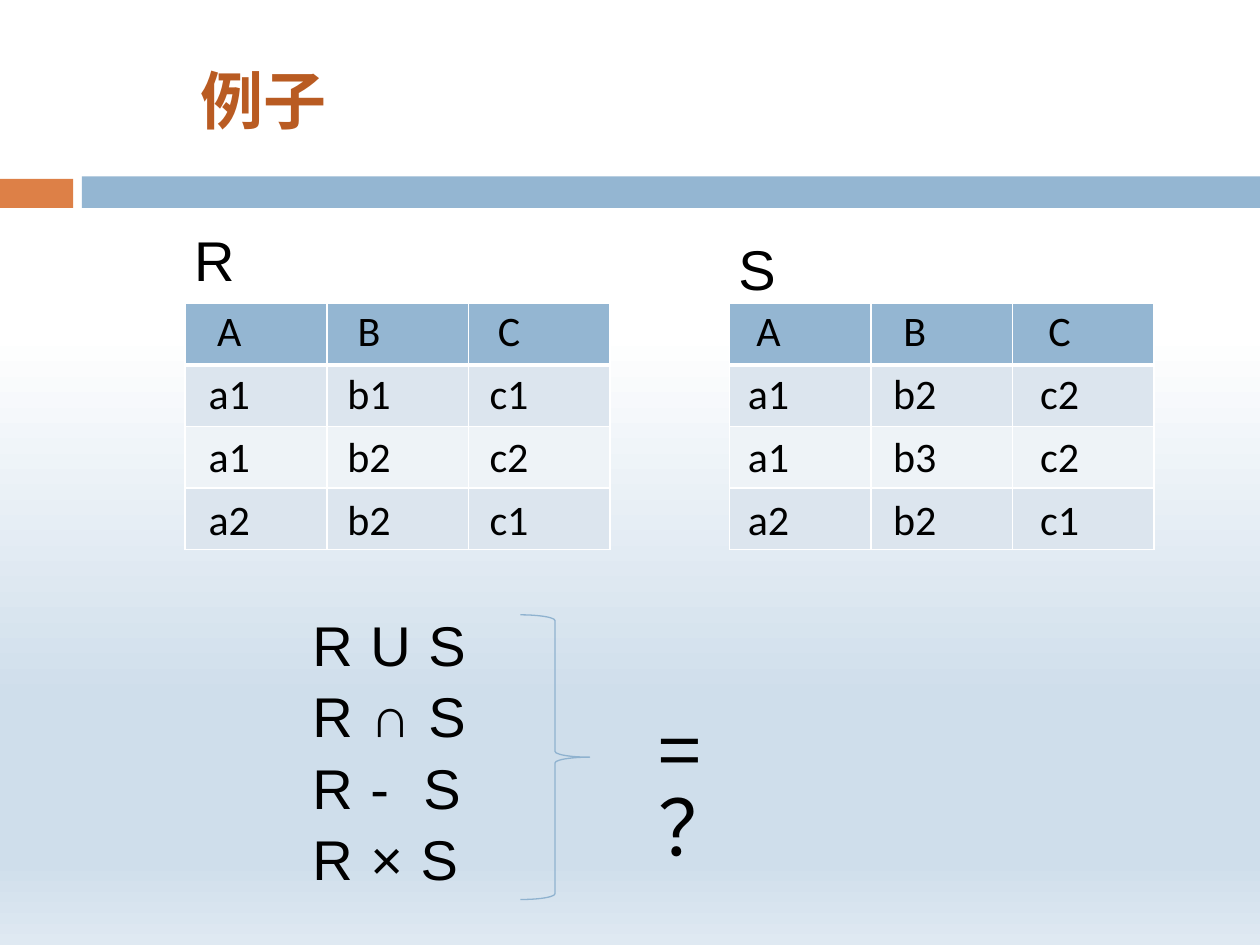
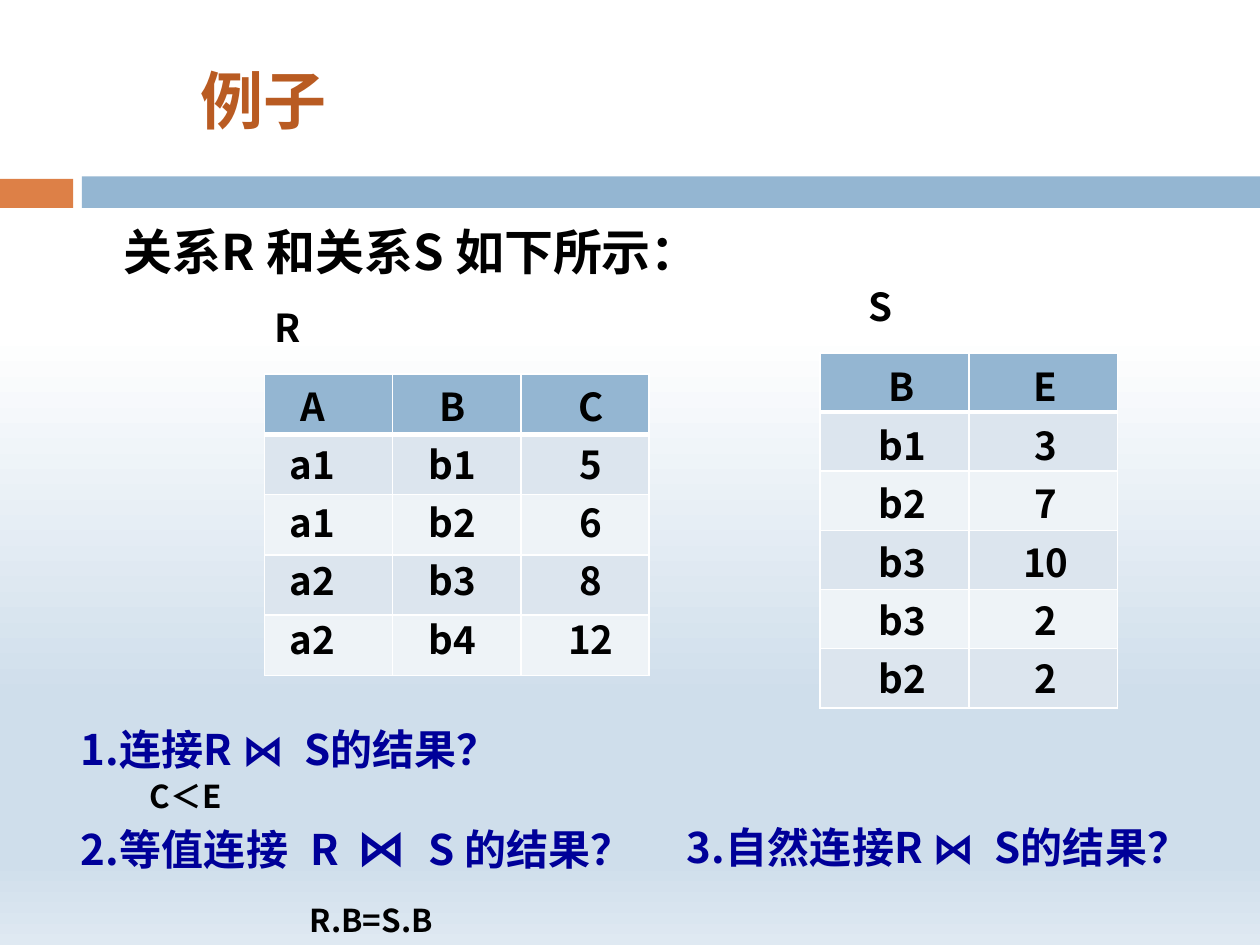
import pptx
import pptx.dml.color
import pptx.enum.dml
import pptx.enum.shapes
import pptx.enum.text
import pptx.oxml
import pptx.oxml.ns
import pptx.util
from pptx.util import Inches

CJK = "Noto Sans CJK SC"
BLACK, WHITE, NAVY = "000000", "FFFFFF", "000099"
BLUE, ORANGE, TITLE_COLOR, BRACE_COLOR = "94B6D2", "DD8047", "B95B22", "8FB2CF"
ROW_FILLS = ["EEF3F7", "DCE5EE"]
BACKGROUND_STOPS = [(35, "FFFFFF"), (74, "CFDEEB"), (91, "CFDEEB"), (100, "DFE9F2")]
BANDS = [((0, 1.35, 10, 0.35), WHITE), ((0, 1.42, 0.58, 0.23), ORANGE),
         ((0.65, 1.4, 9.35, 0.25), BLUE)]

TITLE = {"name": CJK, "size": 36, "bold": True, "color": TITLE_COLOR}
LARGE = {"name": "Arial", "size": 32, "bold": False, "color": BLACK}
OPERATION = LARGE | {"spacing": 0.6}
CELL = {"name": "Calibri", "size": 24, "bold": False, "color": BLACK}
EQUALS = {"name": CJK, "size": 44, "bold": False, "color": BLACK}
INTRO = {"name": CJK, "size": 28, "bold": True, "color": BLACK}
BOLD_CELL = INTRO | {"size": 22}
QUESTION = INTRO | {"size": 24, "color": NAVY}
CONDITION = INTRO | {"size": 18}
LEAD = {"spacing": 0.1}
COLUMN_TEXT_WIDTH = 0.6


def gap(points):
    """A space widened by the given points."""
    return " ", {"spacing": points}


# Each text: place, format, line pitch, space before, paragraphs.
# A paragraph is a list of spans; a span is text or (text, changed format).
# Each table: place, rows, centre line of each column, tops of header and body text.
PAGES = [
    {
        "title": "例子",
        "tables": [
            {"at": (1.47, 2.41, 3.37, 1.95), "style": CELL, "line": 29.3, "before": 6.7,
             "axes": (1.82, 2.93, 4.04), "text_tops": (2.41, 2.91),
             "rows": ["A B C", "a1 b1 c1", "a1 b2 c2", "a2 b2 c1"]},
            {"at": (5.79, 2.41, 3.37, 1.95), "style": CELL, "line": 29.3, "before": 6.7,
             "axes": (6.1, 7.26, 8.41), "text_tops": (2.41, 2.91),
             "rows": ["A B C", "a1 b2 c2", "a1 b3 c2", "a2 b2 c1"]},
        ],
        "texts": [
            ((1.54, 1.83, 0.49, 0.54), LARGE, 35.7, 0, [["R"]]),
            ((5.86, 1.9, 0.46, 0.54), LARGE, 35.7, 0, [["S"]]),
            ((2.48, 4.88, 1.5, 2.26), OPERATION, 35.7, 5.2,
             [["R U S"], ["R ∩ S"], ["R -", gap(10), "S"], ["R × S"]]),
            ((5.23, 5.7, 1.08, 1.25), EQUALS, 44, 0, [["="], ["？"]]),
        ],
        "brace": (4.13, 4.88, 0.55, 2.26),
    },
    {
        "title": "例子",
        "tables": [
            {"at": (6.51, 2.8, 2.36, 2.82), "style": BOLD_CELL, "line": 26.9,
             "before": 6.5, "axes": (7.16, 8.3), "text_tops": (2.87, 3.34),
             "rows": ["B E", "b1 3", "b2 7", "b3 10", "b3 2", "b2 2"]},
            {"at": (2.1, 2.97, 3.05, 2.39), "style": BOLD_CELL, "line": 26.9,
             "before": 6.5, "axes": (2.48, 3.59, 4.69), "text_tops": (3.03, 3.49),
             "rows": ["A B C", "a1 b1 5", "a1 b2 6", "a2 b3 8", "a2 b4 12"]},
        ],
        "texts": [
            ((0.98, 1.84, 5, 0.39), INTRO, 28, 0,
             [[("关系", LEAD), "R ", ("和关系", LEAD), "S ", "如下所示："]]),
            ((6.89, 2.27, 0.37, 0.35), BOLD_CELL, 24.6, 0, [["S"]]),
            ((2.18, 2.44, 0.39, 0.35), BOLD_CELL, 24.6, 0, [["R"]]),
            ((0.64, 5.81, 4.02, 0.34), QUESTION, 24, 0,
             [[("1.连接", LEAD), "R ⋈", gap(6), "S", ("的结果？", LEAD)]]),
            ((1.19, 6.13, 1.2, 0.34), CONDITION, 24, 0, [["C＜E"]]),
            ((5.45, 6.59, 4.4, 0.34), QUESTION, 24, 0,
             [[("3.自然连接", LEAD), "R ⋈", gap(6), "S", ("的结果？", LEAD)]]),
            ((0.64, 6.56, 4.75, 0.39), QUESTION, 28, 0,
             [[("2.等值连接", LEAD), gap(7), "R", gap(5), ("⋈", {"size": 28}),
               gap(7.5), "S ", ("的结果？", LEAD)]]),
            ((2.46, 7.2, 1.2, 0.25), CONDITION, 17.9, 0, [["R.B=S.B"]]),
        ],
    },
]


def rgb(color):
    return pptx.dml.color.RGBColor.from_string(color)


def place(at):
    return [Inches(length) for length in at]


def add_span(para, text, style):
    span = para.add_run()
    span.text = text
    values = {"name": style["name"], "size": pptx.util.Pt(style["size"]),
              "bold": style["bold"]}
    for key, value in values.items():
        setattr(span.font, key, value)
    span.font.color.rgb = rgb(style["color"])
    properties = span.font._element
    if "spacing" in style:
        properties.set("spc", str(round(style["spacing"] * 100)))
    east_asian = properties.makeelement(pptx.oxml.ns.qn("a:ea"), {"typeface": style["name"]})
    properties.append(east_asian)


def set_frame(frame, margins=(0, 0, 0, 0)):
    """Wrap the text and set its left, top, right and bottom margins in inches."""
    frame.word_wrap = True
    for side, margin in zip(("left", "top", "right", "bottom"), margins):
        setattr(frame, f"margin_{side}", Inches(margin))


def add_text(page, at, style, line, before, paragraphs,
             alignment=pptx.enum.text.PP_ALIGN.LEFT):
    frame = page.shapes.add_textbox(*place(at)).text_frame
    set_frame(frame)
    for number, spans in enumerate(paragraphs):
        para = frame.add_paragraph() if number else frame.paragraphs[0]
        para.alignment = alignment
        para.line_spacing = pptx.util.Pt(line)
        para.space_before = pptx.util.Pt(before if number else 0)
        for item in spans:
            text, change = (item, {}) if isinstance(item, str) else item
            add_span(para, text, style | change)


def add_title(page, text):
    frame = page.shapes.add_textbox(*place((1.49, 0.25, 6.59, 1.08))).text_frame
    set_frame(frame, (0.1, 0.05, 0.1, 0.05))
    frame.vertical_anchor = pptx.enum.text.MSO_ANCHOR.MIDDLE
    add_span(frame.paragraphs[0], text, TITLE)


def set_borders(cell, row):
    """White cell borders, with a thick line under the header row."""
    widths = {"L": 1, "R": 1, "T": 3 if row == 1 else 1, "B": 3 if row == 0 else 1}
    properties = cell._tc.get_or_add_tcPr()
    for index, (side, width) in enumerate(widths.items()):
        properties.insert(index, pptx.oxml.parse_xml(
            f'<a:ln{side} {pptx.oxml.ns.nsdecls("a")} w="{pptx.util.Pt(width)}">'
            f'<a:solidFill><a:srgbClr val="{WHITE}"/></a:solidFill></a:ln{side}>'))


def add_grid(page, at, row_count, column_count):
    table = page.shapes.add_table(row_count, column_count, *place(at)).table
    for column in table.columns:
        column.width = Inches(at[2] / column_count)
    for r, row in enumerate(table.rows):
        row.height = Inches(at[3] / row_count)
        for cell in row.cells:
            cell.fill.solid()
            cell.fill.fore_color.rgb = rgb(ROW_FILLS[r % 2] if r else BLUE)
            set_borders(cell, r)


def add_relation(page, at, rows, axes, text_tops, style, line, before):
    """Add a grid and, centred on each axis, a header and a column of values."""
    add_grid(page, at, len(rows), len(axes))
    columns = zip(*(row.split() for row in rows))
    for axis, (header, *values) in zip(axes, columns):
        for top, lines in zip(text_tops, ([header], values)):
            height = (len(lines) * (line + before) - before) / 72
            box = (axis - COLUMN_TEXT_WIDTH / 2, top, COLUMN_TEXT_WIDTH, height)
            add_text(page, box, style, line, before, [[text] for text in lines],
                     pptx.enum.text.PP_ALIGN.CENTER)


def add_band(page, at, color):
    band = page.shapes.add_shape(pptx.enum.shapes.MSO_SHAPE.RECTANGLE, *place(at))
    band.shadow.inherit = False
    band.fill.solid()
    band.fill.fore_color.rgb = rgb(color)
    band.line.fill.background()


def add_brace(page, at):
    brace = page.shapes.add_shape(pptx.enum.shapes.MSO_SHAPE.RIGHT_BRACE, *place(at))
    brace.shadow.inherit = False
    brace.fill.background()
    brace.line.color.rgb = rgb(BRACE_COLOR)
    brace.line.width = pptx.util.Pt(0.75)


def set_background(page):
    fill = page.background.fill
    fill.gradient()
    fill.gradient_angle = 270
    stops = page.element.find(".//" + pptx.oxml.ns.qn("a:gsLst"))
    for stop in list(stops):
        stops.remove(stop)
    for position, color in BACKGROUND_STOPS:
        stops.append(pptx.oxml.parse_xml(
            f'<a:gs {pptx.oxml.ns.nsdecls("a")} pos="{position * 1000}">'
            f'<a:srgbClr val="{color}"/></a:gs>'))


def main():
    deck = pptx.Presentation()
    deck.slide_width, deck.slide_height = Inches(10), Inches(7.5)
    for content in PAGES:
        page = deck.slides.add_slide(deck.slide_layouts[6])
        set_background(page)
        for at, color in BANDS:
            add_band(page, at, color)
        add_title(page, content["title"])
        for relation in content["tables"]:
            add_relation(page, **relation)
        for text in content["texts"]:
            add_text(page, *text)
        if "brace" in content:
            add_brace(page, content["brace"])
    deck.save("out.pptx")


if __name__ == "__main__":
    main()
